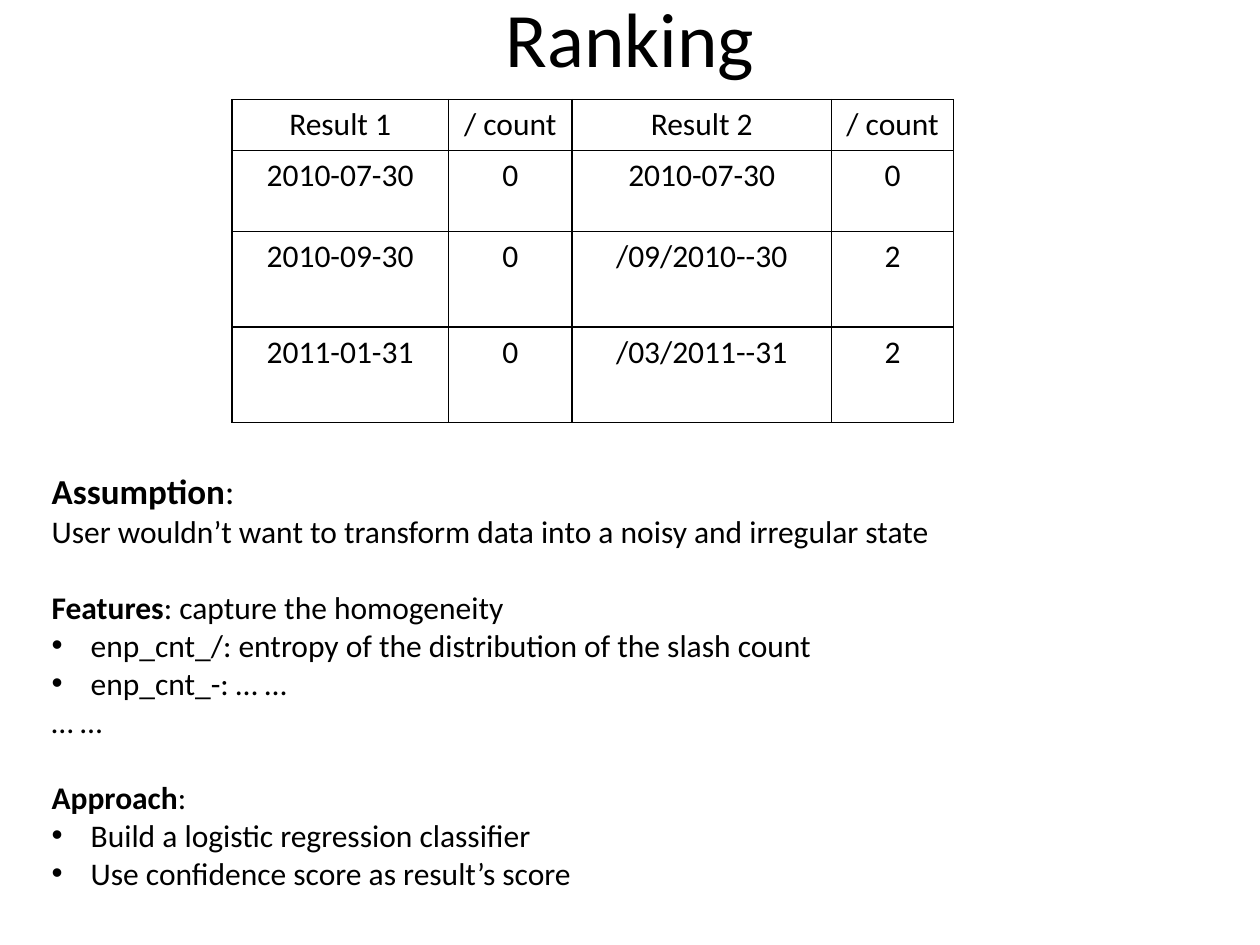
from dataclasses import dataclass

from lxml import etree
from pptx import Presentation, util as u
from pptx.dml.color import RGBColor
from pptx.enum import text
from pptx.oxml.ns import qn


@dataclass(frozen=True)
class Theme:
    font: str = "Calibri"
    ink: RGBColor = RGBColor(0, 0, 0)
    title: int = 44
    heading: int = 20
    body: int = 18
    indent: float = 0.31
    section_gap: int = 22
    border: int = 1


THEME = Theme()
WIDTH, HEIGHT = 10, 7.5
TITLE = "Ranking"
TITLE_BOX = (0.5, -0.33, 9, 1.25)
BODY_BOX = (0.31, 3.68, 7.26, 3.47)
TABLE_ORIGIN = (1.84, 0.79)
COLUMNS = (1.72, 0.98, 2.06, 0.97)
ROWS = (0.4, 0.64, 0.76, 0.76)
RESULTS = [
    ("Result 1", "/ count", "Result 2", "/ count"),
    ("2010-07-30", "0", "2010-07-30", "0"),
    ("2010-09-30", "0", "/09/2010--30", "2"),
    ("2011-01-31", "0", "/03/2011--31", "2"),
]
SECTIONS = [
    ("Assumption", ":", THEME.heading, [
        ("User wouldn’t want to transform data into a noisy and irregular state", False),
    ]),
    ("Features", ": capture the homogeneity", THEME.body, [
        ("enp_cnt_/: entropy of the distribution of the slash count", True),
        ("enp_cnt_-: … …", True),
        ("… …", False),
    ]),
    ("Approach", ":", THEME.body, [
        ("Build a logistic regression classifier", True),
        ("Use confidence score as result’s score", True),
    ]),
]


def place(shape, box):
    shape.left, shape.top, shape.width, shape.height = map(u.Inches, box)


def style(span, size, bold=False):
    span.font.name = THEME.font
    span.font.size = u.Pt(size)
    span.font.bold = bold
    span.font.color.rgb = THEME.ink


def set_bullet(para, bulleted):
    properties = para._p.get_or_add_pPr()
    indent = u.Inches(THEME.indent) if bulleted else 0
    properties.set("marL", str(indent))
    properties.set("indent", str(-indent))
    if bulleted:
        etree.SubElement(properties, qn("a:buFont"), typeface="Arial")
        etree.SubElement(properties, qn("a:buChar"), char="•")
    else:
        etree.SubElement(properties, qn("a:buNone"))


def add_line(frame, spans, size, bulleted=False, gap=0):
    para = frame.add_paragraph() if frame.text else frame.paragraphs[0]
    para.space_before = u.Pt(gap)
    set_bullet(para, bulleted)
    for words, bold in spans:
        span = para.add_run()
        span.text = words
        style(span, size, bold)


def set_borders(cell):
    properties = cell._tc.get_or_add_tcPr()
    for position, side in enumerate(("a:lnL", "a:lnR", "a:lnT", "a:lnB")):
        line = etree.Element(qn(side), w=str(u.Pt(THEME.border)))
        fill = etree.SubElement(line, qn("a:solidFill"))
        etree.SubElement(fill, qn("a:srgbClr"), val=str(THEME.ink))
        properties.insert(position, line)


def add_title(slide):
    title = slide.shapes.title
    place(title, TITLE_BOX)
    title.text_frame.text = TITLE
    style(title.text_frame.paragraphs[0].runs[0], THEME.title)


def add_body(slide):
    body = slide.placeholders[1]
    place(body, BODY_BOX)
    frame = body.text_frame
    frame.auto_size = text.MSO_AUTO_SIZE.NONE
    for number, (heading, rest, size, lines) in enumerate(SECTIONS):
        gap = THEME.section_gap if number else 0
        add_line(frame, [(heading, True), (rest, False)], size, gap=gap)
        for words, bulleted in lines:
            add_line(frame, [(words, False)], THEME.body, bulleted)


def add_results(slide):
    box = (*TABLE_ORIGIN, sum(COLUMNS), sum(ROWS))
    table = slide.shapes.add_table(len(ROWS), len(COLUMNS), *map(u.Inches, box)).table
    table.first_row = table.horz_banding = False
    for column, width in zip(table.columns, COLUMNS):
        column.width = u.Inches(width)
    for row, height, values in zip(table.rows, ROWS, RESULTS):
        row.height = u.Inches(height)
        for cell, value in zip(row.cells, values):
            cell.text_frame.text = value
            para = cell.text_frame.paragraphs[0]
            para.alignment = text.PP_ALIGN.CENTER
            style(para.runs[0], THEME.body)
            cell.fill.background()
            set_borders(cell)


def main():
    deck = Presentation()
    deck.slide_width, deck.slide_height = u.Inches(WIDTH), u.Inches(HEIGHT)
    slide = deck.slides.add_slide(deck.slide_layouts[1])
    add_title(slide)
    add_body(slide)
    add_results(slide)
    deck.save("out.pptx")


if __name__ == "__main__":
    main()
